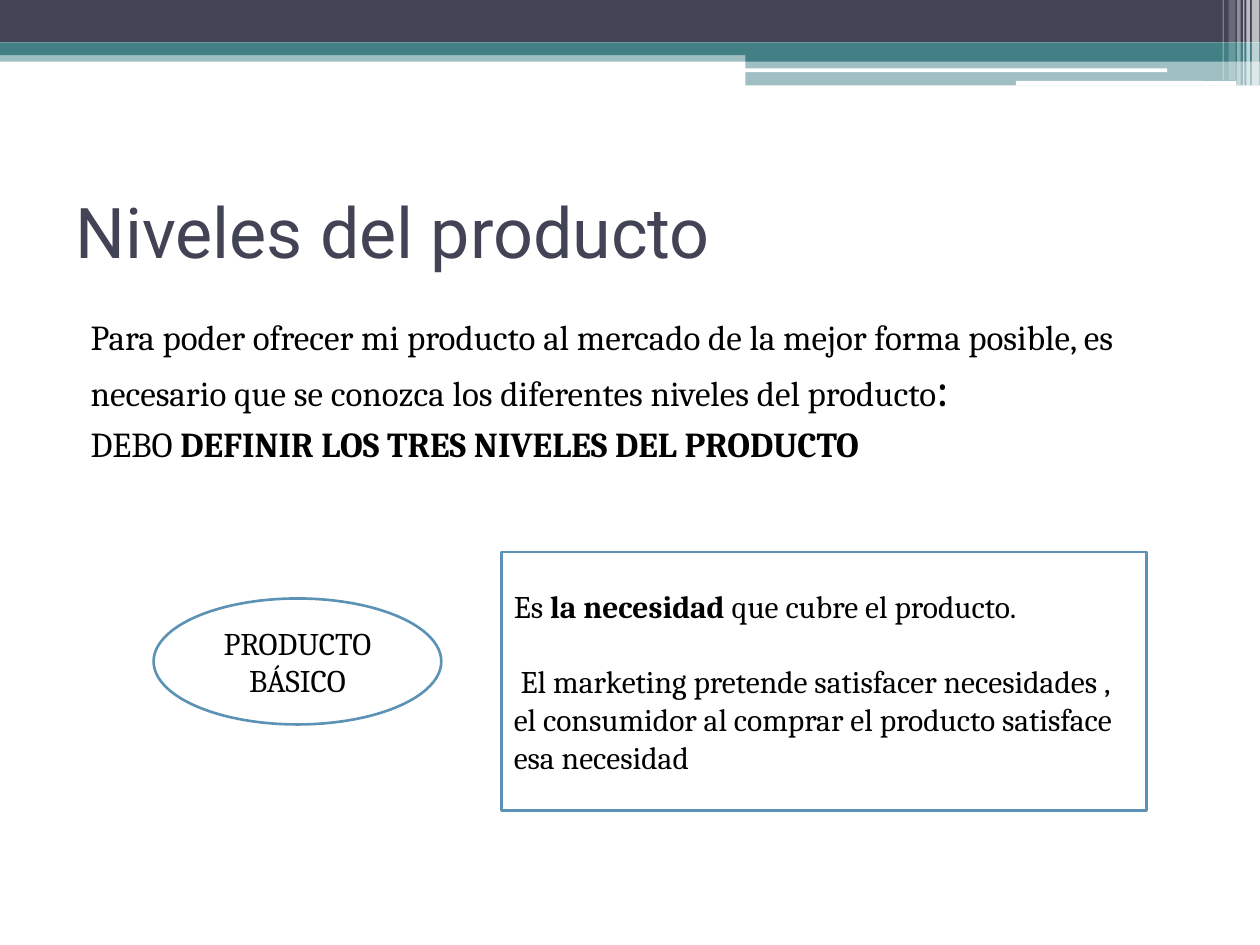
from lxml import etree
from pptx import Presentation
from pptx.dml.color import RGBColor
from pptx.enum.shapes import MSO_SHAPE
from pptx.enum.text import MSO_ANCHOR, PP_ALIGN
from pptx.oxml.ns import qn
from pptx.util import Pt

RECTANGLE = MSO_SHAPE.RECTANGLE
ROUNDED = MSO_SHAPE.ROUNDED_RECTANGLE
OVAL = MSO_SHAPE.OVAL
MIDDLE = MSO_ANCHOR.MIDDLE
LEFT, CENTER = PP_ALIGN.LEFT, PP_ALIGN.CENTER

NAVY = RGBColor(0x42, 0x44, 0x56)
TEAL = RGBColor(0x43, 0x80, 0x86)
BLUE = RGBColor(0x5C, 0x92, 0xB5)
WHITE = RGBColor(0xFF, 0xFF, 0xFF)
BLACK = RGBColor(0, 0, 0)

SLIDE_WIDTH, SLIDE_HEIGHT = 720, 540


def add_filled(slide, kind, box, color, opacity=100, outline=None):
    """Add a flat preset shape; opacity is a percentage."""
    shape = slide.shapes.add_shape(kind, *(Pt(value) for value in box))
    shape.shadow.inherit = False
    shape.fill.solid()
    shape.fill.fore_color.rgb = color
    if opacity < 100:
        color_element = shape._element.spPr.find(".//" + qn("a:srgbClr"))
        etree.SubElement(color_element, qn("a:alpha"), val=str(opacity * 1000))
    if outline is None:
        shape.line.fill.background()
    else:
        shape.line.color.rgb = outline
        shape.line.width = Pt(1.5)
    return shape


def add_text_box(slide, box):
    text_box = slide.shapes.add_textbox(*(Pt(value) for value in box))
    text_box.text_frame.word_wrap = True
    return text_box.text_frame


def write_paragraph(paragraph, runs, size, font="Cambria", color=BLACK, alignment=LEFT):
    """Write (text, bold) runs in one font."""
    paragraph.alignment = alignment
    paragraph.font.name = font
    paragraph.font.size = Pt(size)
    paragraph.font.color.rgb = color
    for text, bold in runs:
        run = paragraph.add_run()
        run.text = text
        if bold:
            run.font.bold = True


def add_header(slide, left, top, width):
    right = left + width
    tab_left = left + 426
    tab_width = right - tab_left

    # Full-width bands
    add_filled(slide, RECTANGLE, (left, top + 28.8, width, 6.5), TEAL, 50)
    add_filled(slide, RECTANGLE, (left, top, width, 24.3), NAVY)
    add_filled(slide, RECTANGLE, (left, top + 24.3, width, 7.2), TEAL)

    # Lower tab on the right, with white grooves
    add_filled(slide, RECTANGLE, (tab_left, top + 28.1, tab_width, 7.2), TEAL)
    add_filled(slide, RECTANGLE, (tab_left, top + 35.3, tab_width, 13.5), TEAL, 50)
    add_filled(slide, ROUNDED, (tab_left - 0.5, top + 39.1, 241.5, 2.2), WHITE)
    add_filled(slide, ROUNDED, (left + 580.5, top + 46.3, 126, 2.7), WHITE)

    # Vertical stripes: distance from the right edge, width, height, opacity
    stripes = [
        (4.6, 4.3, 49, 65),
        (7.8, 2, 49, 65),
        (9.6, 0.7, 49, 60),
        (13, 2, 49, 40),
        (18, 4, 46, 20),
        (21.3, 0.7, 46, 30),
    ]
    for distance, stripe_width, height, opacity in stripes:
        box = (right - distance, top, stripe_width, height)
        add_filled(slide, RECTANGLE, box, WHITE, opacity)


def add_title(slide, box):
    frame = add_text_box(slide, box)
    frame.vertical_anchor = MIDDLE
    write_paragraph(frame.paragraphs[0], [("Niveles del producto", False)], 40, "Roboto", NAVY)


def add_introduction(slide, box):
    frame = add_text_box(slide, box)
    frame.margin_left = Pt(15.8)
    first = frame.paragraphs[0]
    write_paragraph(first, [
        ("Para poder ofrecer mi producto al mercado de la mejor forma posible, es "
         "necesario que se conozca los diferentes niveles del producto", False),
        (":", False),
    ], 20)
    first.runs[-1].font.size = Pt(28)

    second = frame.add_paragraph()
    second.space_before = Pt(3)
    write_paragraph(second, [
        ("DEBO ", False),
        ("DEFINIR LOS TRES NIVELES DEL PRODUCTO", True),
    ], 20)


def add_level_name(slide, box):
    frame = add_filled(slide, OVAL, box, WHITE, outline=BLUE).text_frame
    frame.word_wrap = True
    frame.vertical_anchor = MIDDLE
    write_paragraph(frame.paragraphs[0], [("PRODUCTO BÁSICO", False)], 18, alignment=CENTER)


def add_level_description(slide, box):
    frame = add_filled(slide, RECTANGLE, box, WHITE, outline=BLUE).text_frame
    frame.word_wrap = True
    frame.vertical_anchor = MIDDLE
    write_paragraph(frame.paragraphs[0], [
        ("Es ", False),
        ("la necesidad ", True),
        ("que cubre el producto.", False),
    ], 18)
    explanation = frame.add_paragraph()
    explanation.space_before = Pt(21.7)
    write_paragraph(explanation, [
        (" El marketing pretende satisfacer necesidades , el consumidor al comprar "
         "el producto satisface esa necesidad", False),
    ], 18)


def main():
    presentation = Presentation()
    presentation.slide_width = Pt(SLIDE_WIDTH)
    presentation.slide_height = Pt(SLIDE_HEIGHT)
    slide = presentation.slides.add_slide(presentation.slide_layouts[6])

    add_header(slide, 0, 0, SLIDE_WIDTH)
    add_title(slide, (36, 90, 648, 84))
    add_introduction(slide, (36, 177, 648, 340.5))
    add_level_name(slide, (87.8, 342, 164.4, 72))
    add_level_description(slide, (286.5, 315.4, 368.6, 147.6))

    presentation.save("out.pptx")


if __name__ == "__main__":
    main()
